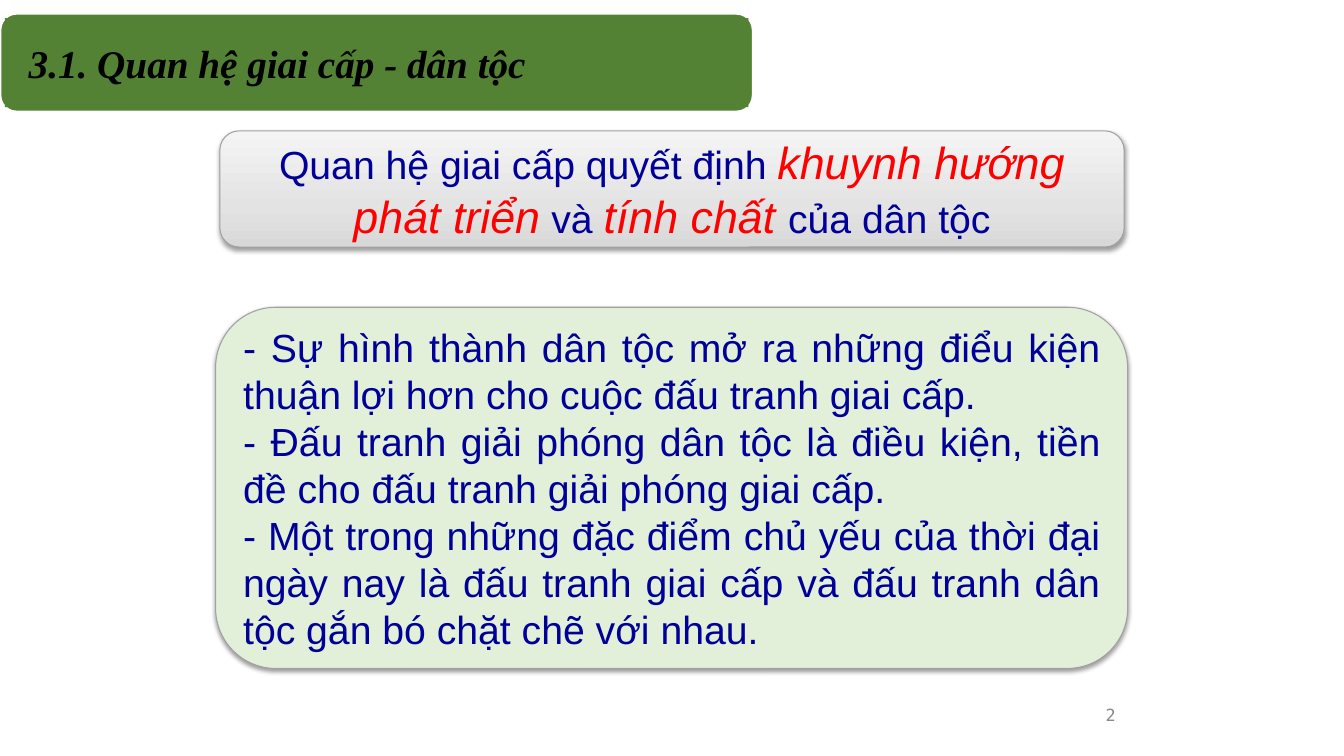
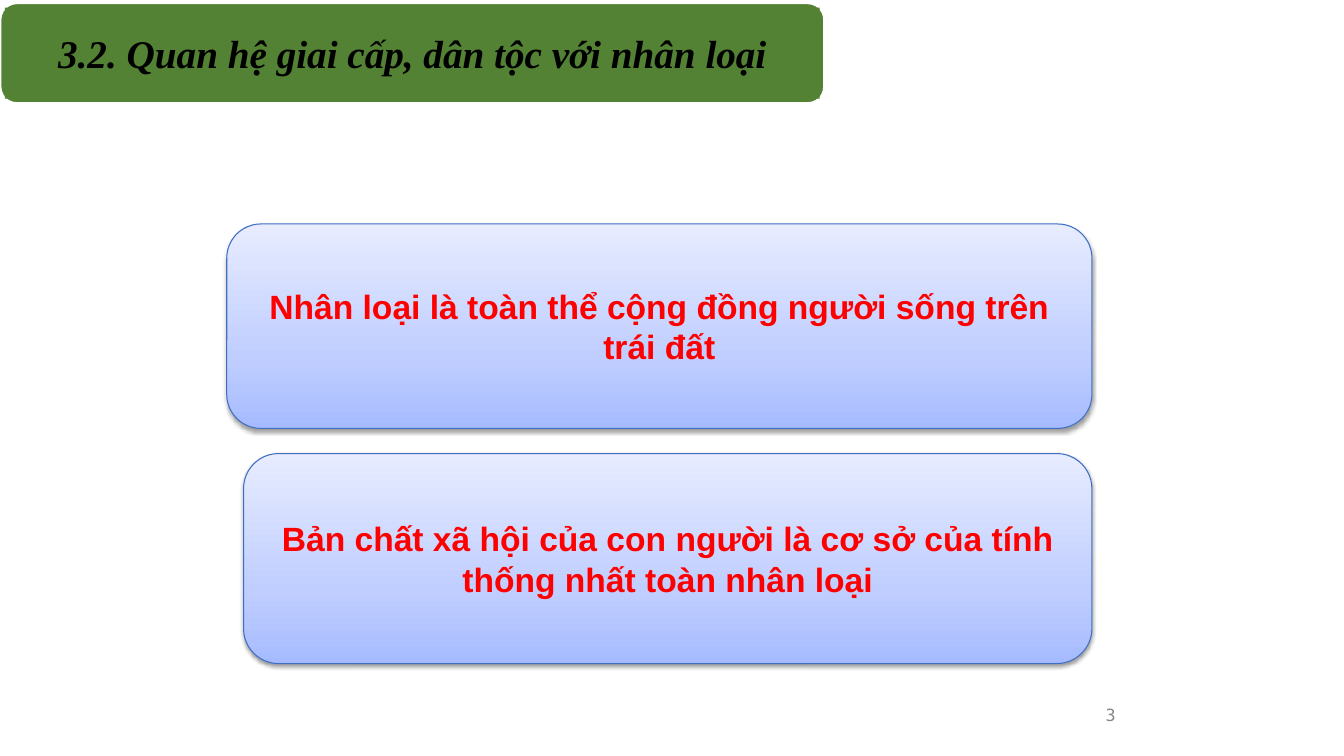
from lxml.etree import SubElement
from pptx import Presentation
from pptx.dml.color import RGBColor
from pptx.enum.shapes import MSO_SHAPE as Shape
from pptx.enum.text import MSO_ANCHOR as Anchor, MSO_AUTO_SIZE as AutoSize, PP_ALIGN as Align
from pptx.oxml.ns import qn
from pptx.util import Pt

TITLE_ONLY = 5
GREEN, PALE_GREEN, WHITE, BLACK = "548235", "E2F0D9", "FFFFFF", "000000"
NAVY, RED, GREY, BLUE_EDGE, PAGE_GREY = "000099", "FF0000", "A1A1A1", "3F6FC3", "898989"
# Gradient stops run from the bottom edge up: (percent, colour).
SILVER = [(0, "D8D8D8"), (35, "E3E3E3"), (100, "F4F4F4")]
LAVENDER = [(0, "A6BBFF"), (35, "C0CEFF"), (100, "E7ECFF")]


def color(value):
    return RGBColor.from_string(value)


def style_font(font, name, size, value, bold=False, italic=False):
    font.name, font.size, font.bold, font.italic = name, Pt(size), bold, italic
    font.color.rgb = color(value)


def fill_shape(shape, paint):
    """Fill with one hex colour, or with a list of gradient stops."""
    if isinstance(paint, str):
        shape.fill.solid()
        shape.fill.fore_color.rgb = color(paint)
        return
    shape.fill.gradient()
    shape.fill.gradient_angle = 90
    stops = shape.element.spPr.find(".//" + qn("a:gsLst"))
    for stop in list(stops):
        stops.remove(stop)
    for percent, value in paint:
        stop = SubElement(stops, qn("a:gs"), pos=str(percent * 1000))
        SubElement(stop, qn("a:srgbClr"), val=value)


def drop_shadow(shape):
    effects = shape.element.spPr.find(qn("a:effectLst"))
    shadow = SubElement(effects, qn("a:outerShdw"), blurRad=str(Pt(3.1)),
                        dist=str(Pt(1.6)), dir="5400000", rotWithShape="0")
    tint = SubElement(shadow, qn("a:srgbClr"), val=BLACK)
    SubElement(tint, qn("a:alpha"), val="38000")


class Lecture:
    def __init__(self):
        self.deck = Presentation()
        self.deck.slide_width, self.deck.slide_height = Pt(960), Pt(540)
        self.page = None

    def start_page(self, number):
        self.page = self.deck.slides.add_slide(self.deck.slide_layouts[TITLE_ONLY])
        box = self.page.shapes.add_textbox(Pt(636), Pt(492), Pt(168), Pt(37))
        frame = box.text_frame
        frame.word_wrap = True
        frame.vertical_anchor = Anchor.MIDDLE
        para = frame.paragraphs[0]
        para.text, para.alignment = str(number), Align.RIGHT
        style_font(para.font, "DejaVu Sans Mono", 12, PAGE_GREY)

    def rounded(self, left, top, width, height, paint, edge, weight):
        shape = self.page.shapes.add_shape(
            Shape.ROUNDED_RECTANGLE, Pt(left), Pt(top), Pt(width), Pt(height))
        shape.shadow.inherit = False
        fill_shape(shape, paint)
        shape.line.color.rgb = color(edge)
        shape.line.width = Pt(weight)
        return shape

    def title(self, text, top, width, height, align=Align.LEFT):
        """Place the title on a green band that starts at the left slide edge."""
        self.rounded(0, top, width, height, GREEN, WHITE, 2)
        title, inset = self.page.shapes.title, 3.5
        title.left, title.top = Pt(inset), Pt(top + inset)
        title.width, title.height = Pt(width - 2 * inset), Pt(height - 2 * inset)
        fill_shape(title, GREEN)
        frame = title.text_frame
        frame.auto_size, frame.word_wrap = AutoSize.NONE, True
        frame.vertical_anchor = Anchor.MIDDLE
        frame.margin_left = frame.margin_right = Pt(17)
        frame.margin_top = frame.margin_bottom = 0
        para = frame.paragraphs[0]
        para.text, para.alignment = text, align
        style_font(para.font, "Times New Roman", 28, BLACK, bold=True, italic=True)
        # The title goes in front of its band.
        self.page.shapes.element.append(title.element)

    def card(self, left, top, width, height, paint, edge):
        shape = self.rounded(left, top, width, height, paint, edge, 0.75)
        drop_shadow(shape)
        shape.text_frame.word_wrap = True
        shape.text_frame.vertical_anchor = Anchor.MIDDLE
        return shape.text_frame

    def add_lines(self, frame, lines, size, value, align=Align.CENTER, bold=False):
        for index, line in enumerate(lines):
            para = frame.add_paragraph() if index else frame.paragraphs[0]
            para.text, para.alignment = line, align
            style_font(para.font, "Arial", size, value, bold)

    def add_emphasis(self, frame, spans):
        """Set (text, emphasised) pairs in one centred paragraph."""
        para = frame.paragraphs[0]
        para.alignment = Align.CENTER
        for text, emphasised in spans:
            span = para.add_run()
            span.text = text
            size, value = (32, RED) if emphasised else (28, NAVY)
            style_font(span.font, "Arial", size, value, italic=emphasised)


def main():
    lecture = Lecture()

    lecture.start_page(2)
    summary = lecture.card(157, 93.5, 646, 83, SILVER, GREY)
    lecture.add_emphasis(summary, [
        ("Quan hệ giai cấp quyết định ", False),
        ("khuynh hướng phát triển", True),
        (" và ", False),
        ("tính chất ", True),
        ("của dân tộc", False),
    ])
    details = lecture.card(154, 219.5, 651.5, 258, PALE_GREEN, GREY)
    lecture.add_lines(details, [
        "- Sự hình thành dân tộc mở ra những điểu kiện thuận lợi hơn cho cuộc "
        "đấu tranh giai cấp.",
        "- Đấu tranh giải phóng dân tộc là điều kiện, tiền đề cho đấu tranh "
        "giải phóng giai cấp.",
        "- Một trong những đặc điểm chủ yếu của thời đại ngày nay là đấu tranh "
        "giai cấp và đấu tranh dân tộc gắn bó chặt chẽ với nhau.",
    ], 28, NAVY, Align.JUSTIFY)
    lecture.title("3.1. Quan hệ giai cấp - dân tộc", 9.5, 538, 70.5)

    lecture.start_page(3)
    lecture.title("3.2. Quan hệ giai cấp, dân tộc với nhân loại", 2, 589, 72, Align.CENTER)
    statements = [
        ((162, 160, 618, 146), "Nhân loại là toàn thể cộng đồng người sống trên trái đất"),
        ((174, 324, 606, 150),
         "Bản chất xã hội của con người là cơ sở của tính thống nhất toàn nhân loại"),
    ]
    for place, text in statements:
        frame = lecture.card(*place, LAVENDER, BLUE_EDGE)
        lecture.add_lines(frame, [text], 24, RED, bold=True)

    lecture.deck.save("out.pptx")


if __name__ == "__main__":
    main()
